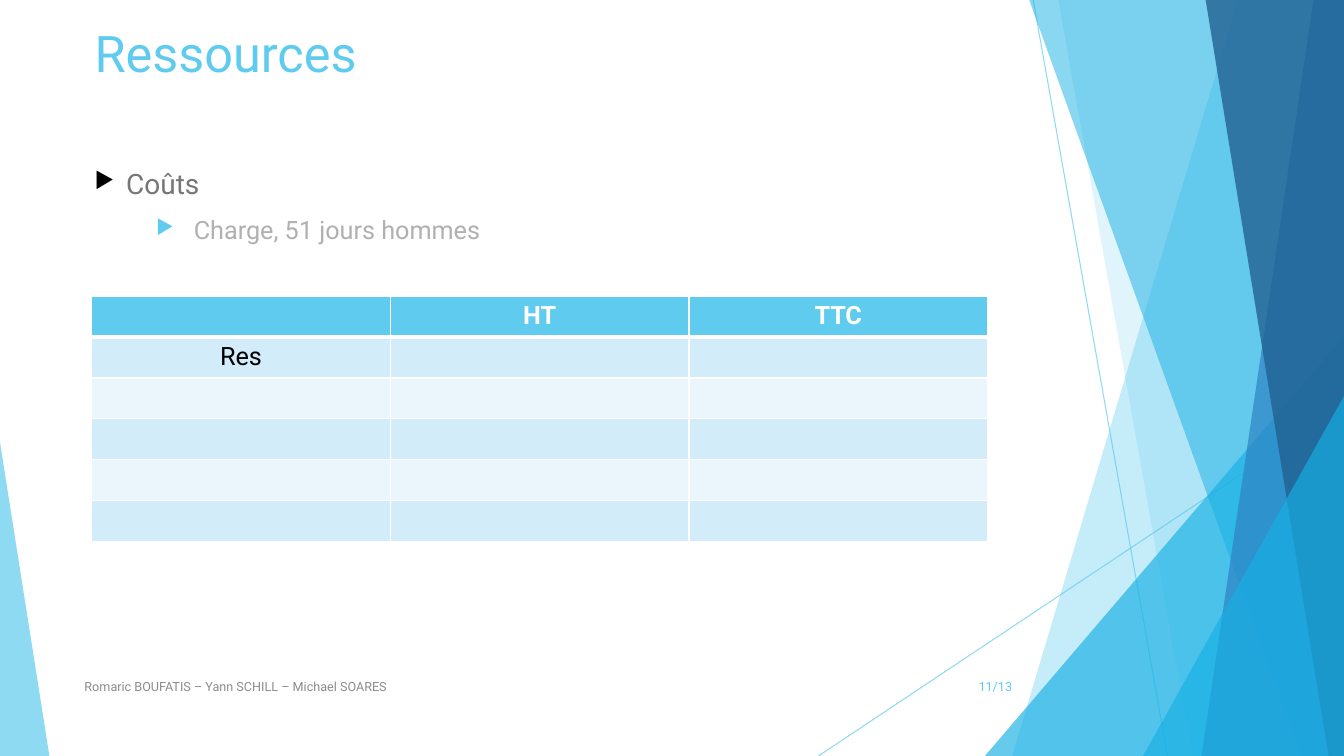
"""Build the resources slide with its cost table and layered blue facets."""
from lxml import etree
from pptx import Presentation
from pptx.dml.color import RGBColor
from pptx.enum.shapes import MSO_CONNECTOR, MSO_SHAPE
from pptx.enum.text import MSO_ANCHOR, PP_ALIGN
from pptx.oxml.ns import qn
from pptx.util import Pt

STRAIGHT = MSO_CONNECTOR.STRAIGHT
TRIANGLE = MSO_SHAPE.ISOSCELES_TRIANGLE
TOP, MIDDLE = MSO_ANCHOR.TOP, MSO_ANCHOR.MIDDLE
LEFT, CENTER, RIGHT = PP_ALIGN.LEFT, PP_ALIGN.CENTER, PP_ALIGN.RIGHT

WIDTH, HEIGHT = 960, 540
SKY, AZURE, BLUE, NAVY = "5FCBEF", "17B0E4", "2E83C3", "226292"
WHITE, BLACK = "FFFFFF", "000000"
BANDS = ("D2ECF9", "EAF6FC")


def color(value):
    return RGBColor.from_string(value)


def add_element(parent, tag, **attributes):
    return etree.SubElement(parent, qn(tag), attributes)


def set_opacity(shape, percent):
    for element in shape._element.spPr.iter(qn("a:srgbClr")):
        add_element(element, "a:alpha", val=str(percent * 1000))


class SlideBuilder:
    """Hold the style and the current slide, and add elements in points."""

    font = "Roboto"

    def __init__(self, presentation):
        self.slide = presentation.slides.add_slide(presentation.slide_layouts[6])
        self.shapes = self.slide.shapes

    def paint(self, shape, fill, opacity):
        shape.shadow.inherit = False
        shape.fill.solid()
        shape.fill.fore_color.rgb = color(fill)
        shape.line.fill.background()
        set_opacity(shape, opacity)

    def line(self, *ends):
        connector = self.shapes.add_connector(STRAIGHT, *map(Pt, ends))
        connector.line.color.rgb = color(SKY)
        connector.line.width = Pt(0.75)
        set_opacity(connector, 70)
        add_element(connector._element.spPr, "a:effectLst")

    def facet(self, top_x, bottom_x, fill, opacity):
        builder = self.shapes.build_freeform(Pt(top_x), 0, scale=1.0)
        corners = [(WIDTH, 0), (WIDTH, HEIGHT), (bottom_x, HEIGHT)]
        builder.add_line_segments([(Pt(x), Pt(y)) for x, y in corners])
        self.paint(builder.convert_to_shape(), fill, opacity)

    def triangle(self, left, top, width, apex, fill, opacity):
        box = map(Pt, (left, top, width, HEIGHT - top))
        shape = self.shapes.add_shape(TRIANGLE, *box)
        shape.adjustments[0] = apex
        self.paint(shape, fill, opacity)

    def run(self, paragraph, text, size, fill, bold=False):
        run = paragraph.add_run()
        run.text = text
        run.font.name = self.font
        run.font.size = Pt(size)
        run.font.bold = bold
        run.font.color.rgb = color(fill)

    def text(self, box, text, size, fill, anchor=TOP, align=LEFT):
        frame = self.shapes.add_textbox(*map(Pt, box)).text_frame
        frame.word_wrap = True
        frame.vertical_anchor = anchor
        paragraph = frame.paragraphs[0]
        paragraph.alignment = align
        self.run(paragraph, text, size, fill)
        return paragraph

    def bullet(self, paragraph, indent, before, after, fill):
        paragraph.space_before = Pt(before)
        paragraph.space_after = Pt(after)
        properties = paragraph._p.get_or_add_pPr()
        properties.set("marL", str(Pt(indent)))
        properties.set("indent", str(-Pt(indent)))
        add_element(add_element(properties, "a:buClr"), "a:srgbClr", val=fill)
        add_element(properties, "a:buSzPct", val="80000")
        add_element(properties, "a:buChar", char="▶")

    def borders(self, cell, top, bottom):
        properties = cell._tc.get_or_add_tcPr()
        for side, width in (("L", 1), ("R", 1), ("T", top), ("B", bottom)):
            border = add_element(properties, f"a:ln{side}", w=str(Pt(width)))
            solid = add_element(border, "a:solidFill")
            add_element(solid, "a:srgbClr", val=WHITE)

    def table(self, box, rows):
        frame = self.shapes.add_table(len(rows), len(rows[0]), *map(Pt, box))
        for row, texts in enumerate(rows):
            header = row == 0
            for column, text in enumerate(texts):
                cell = frame.table.cell(row, column)
                self.borders(cell, 3 if row == 1 else 1, 3 if header else 1)
                cell.fill.solid()
                cell.fill.fore_color.rgb = color(SKY if header else BANDS[(row - 1) % 2])
                if text:
                    paragraph = cell.text_frame.paragraphs[0]
                    paragraph.alignment = CENTER
                    self.run(paragraph, text, 18, WHITE if header else BLACK, header)


def main():
    presentation = Presentation()
    presentation.slide_width, presentation.slide_height = Pt(WIDTH), Pt(HEIGHT)
    builder = SlideBuilder(presentation)

    builder.line(738, 0, 834, HEIGHT)
    builder.line(WIDTH, 290, 584.6, HEIGHT)
    builder.facet(884.2, 723, SKY, 36)
    builder.facet(756, 851.8, SKY, 20)
    builder.triangle(703.5, 240, 256.5, 1, AZURE, 66)
    builder.facet(735.2, 929.5, AZURE, 50)
    builder.facet(938.2, 858.2, BLUE, 70)
    builder.facet(861.2, 949, NAVY, 80)
    builder.triangle(816.5, 283, 143.5, 1, AZURE, 66)
    builder.triangle(0, 316, 35.3, 0, SKY, 70)

    builder.text((60.5, 12.2, 672, 119), "Ressources", 36, SKY)
    workload = builder.text((104.4, 149.8, 304, 48), "Charge, 51 jours hommes", 18, "B0B0B0")
    builder.bullet(workload, 27, 10, 0, SKY)
    costs = builder.text((60.5, 106.6, 363, 48), "Coûts", 20, "767676", MIDDLE)
    builder.bullet(costs, 22.5, 4, 6, BLACK)

    empty_rows = [("", "", "")] * 4
    rows = [("", "HT", "TTC"), ("Res", "", ""), *empty_rows]
    builder.table((65.5, 211.7, 640, 175), rows)

    authors = "Romaric BOUFATIS – Yann SCHILL – Michael SOARES"
    builder.text((53.3, 476, 496, 28.8), authors, 9, "8C8C8C", MIDDLE)
    builder.text((676, 476, 54, 28.8), "11/13", 9, SKY, MIDDLE, RIGHT)
    presentation.save("out.pptx")


if __name__ == "__main__":
    main()
